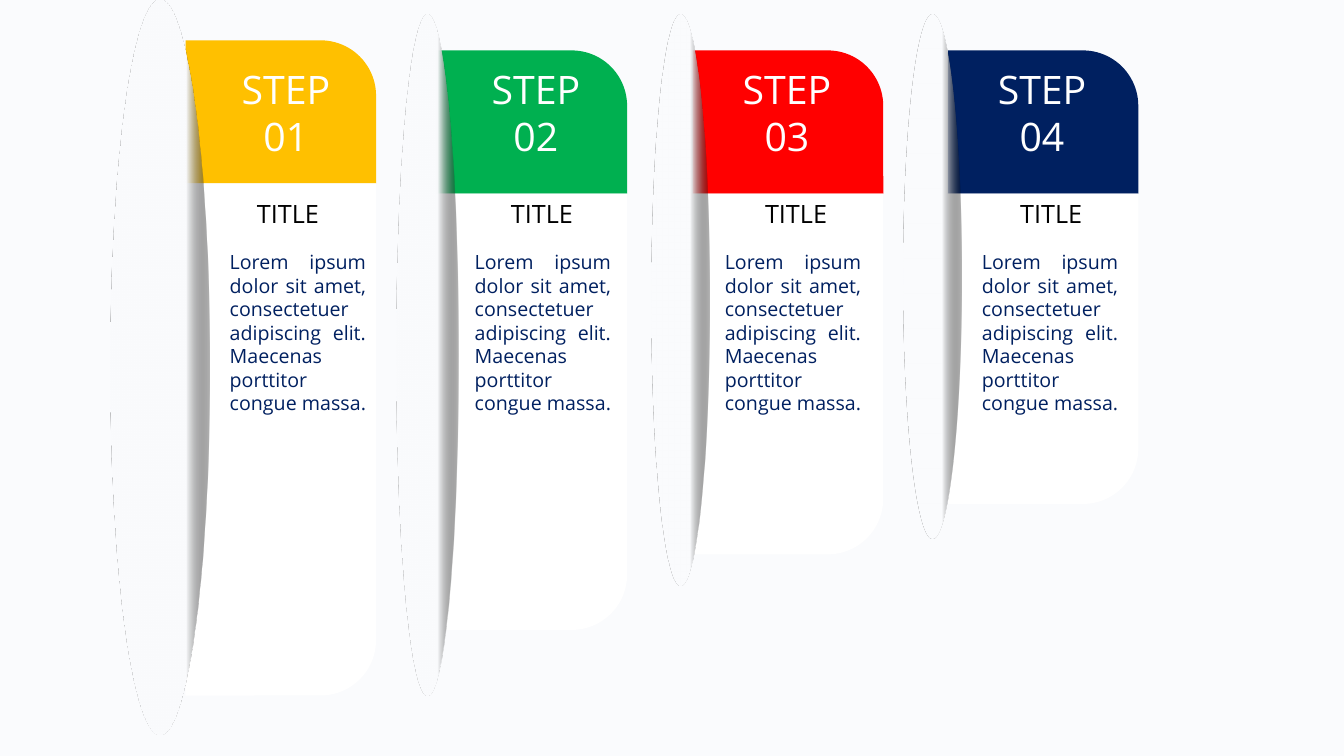
"""Build a slide of four step cards, each tucked behind a shaded ellipse."""
import pptx
import pptx.dml.color
import pptx.enum.shapes
import pptx.enum.text
import pptx.oxml
import pptx.oxml.ns
import pptx.util
from pptx.util import Inches

COLORS = {
    "page": "FAFBFD",
    "card": "FFFFFF",
    "label": "FFFFFF",
    "title": "000000",
    "body": "002060",
    "shade": "000000",
}
FONT = "Open Sans"
BODY = "Lorem ipsum dolor sit amet, consectetuer adipiscing elit. Maecenas porttitor congue massa."
STEPS = [
    {"number": "01", "color": "FFC000", "left": 1.84, "top": 0.4, "bottom": 6.9,
     "text_lefts": (2.12, 2.16, 2.18), "ellipse": (1.1, 0, 0.98, 7.29), "fade": 0.76},
    {"number": "02", "color": "00B050", "left": 4.33, "top": 0.5, "bottom": 6.25,
     "text_lefts": (4.6, 4.68, 4.61), "ellipse": (3.93, 0.15, 0.62, 6.75), "fade": 0.66},
    {"number": "03", "color": "FF0000", "left": 6.87, "top": 0.5, "bottom": 5.5,
     "text_lefts": (7.09, 7.2, 7.09), "ellipse": (6.46, 0.15, 0.58, 5.66), "fade": 0.66},
    {"number": "04", "color": "002060", "left": 9.4, "top": 0.5, "bottom": 5,
     "text_lefts": (9.62, 9.73, 9.64), "ellipse": (8.96, 0.15, 0.58, 5.19), "fade": 0.66},
]
CARD_WIDTH = 1.89
HEADER_HEIGHT = 1.42
CORNER = 0.55
SHADE_ALPHA = 29000

SHAPES = pptx.enum.shapes.MSO_SHAPE
ALIGN = pptx.enum.text.PP_ALIGN


def rgb(value):
    """Turn a hex string into a colour."""
    return pptx.dml.color.RGBColor.from_string(value)


def add_panel(group, left, top, width, height, color, rotation=0):
    """Add a rectangle with one rounded corner, framed before rotation."""
    panel = group.shapes.add_shape(
        SHAPES.ROUND_1_RECTANGLE, Inches(left), Inches(top), Inches(width), Inches(height))
    panel.adjustments[0] = CORNER / min(width, height)
    panel.rotation = rotation
    panel.shadow.inherit = False
    panel.fill.solid()
    panel.fill.fore_color.rgb = rgb(color)
    panel.line.fill.background()


def add_text(group, left, top, width, height, lines, size, color, align):
    """Add a wrapped text box with one paragraph per line."""
    box = group.shapes.add_textbox(Inches(left), Inches(top), Inches(width), Inches(height))
    frame = box.text_frame
    frame.word_wrap = True
    frame.auto_size = pptx.enum.text.MSO_AUTO_SIZE.SHAPE_TO_FIT_TEXT
    for index, line in enumerate(lines):
        para = frame.add_paragraph() if index else frame.paragraphs[0]
        para.alignment = align
        span = para.add_run()
        span.text = line
        span.font.name = FONT
        span.font.size = pptx.util.Pt(size)
        span.font.color.rgb = rgb(color)


def add_card(page, step):
    """Add the header, body and texts of one step as a group."""
    group = page.shapes.add_group_shape()
    left, top = step["left"], step["top"]
    add_panel(group, left, top, CARD_WIDTH, HEADER_HEIGHT, step["color"])

    body_top = top + HEADER_HEIGHT
    body_height = step["bottom"] - body_top
    shift = (body_height - CARD_WIDTH) / 2
    add_panel(group, left - shift, body_top + shift, body_height, CARD_WIDTH,
              COLORS["card"], rotation=90)

    label_left, title_left, body_left = step["text_lefts"]
    add_text(group, label_left, 0.6, 1.43, 1.04, ["STEP", step["number"]], 28,
             COLORS["label"], ALIGN.CENTER)
    add_text(group, title_left, 1.92, 1.39, 0.4, ["TITLE"], 18, COLORS["title"], ALIGN.CENTER)
    add_text(group, body_left, 2.43, 1.55, 1.75, [BODY], 14, COLORS["body"], ALIGN.JUSTIFY)


def add_ellipse(page, step):
    """Add the ellipse that fades into a translucent shade on its right."""
    ellipse = page.shapes.add_shape(SHAPES.OVAL, *map(Inches, step["ellipse"]))
    ellipse.shadow.inherit = False
    ellipse.line.fill.background()
    ellipse.fill.gradient()
    ellipse.fill.gradient_angle = 0
    start, end = ellipse.fill.gradient_stops
    start.position, end.position = step["fade"], 1
    start.color.rgb = rgb(COLORS["page"])
    end.color.rgb = rgb(COLORS["shade"])
    shade = ellipse._element.spPr.findall(".//" + pptx.oxml.ns.qn("a:srgbClr"))[-1]
    shade.append(pptx.oxml.parse_xml(
        f'<a:alpha {pptx.oxml.ns.nsdecls("a")} val="{SHADE_ALPHA}"/>'))


def main():
    """Assemble and save the deck."""
    deck = pptx.Presentation()
    deck.slide_width, deck.slide_height = Inches(13.33), Inches(7.5)
    page = deck.slides.add_slide(deck.slide_layouts[6])
    page.background.fill.solid()
    page.background.fill.fore_color.rgb = rgb(COLORS["page"])
    for step in STEPS:
        add_card(page, step)
    for step in STEPS:
        add_ellipse(page, step)
    deck.save("out.pptx")


if __name__ == "__main__":
    main()
